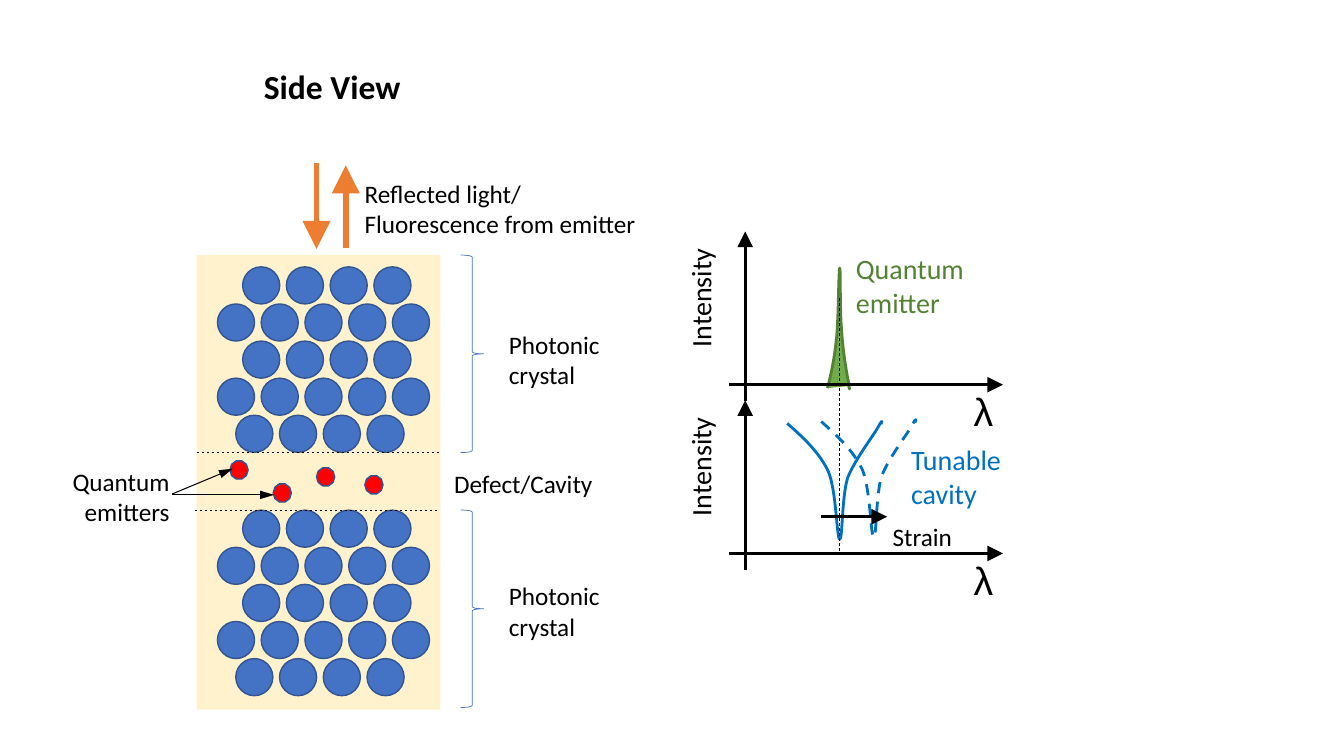
from lxml.etree import SubElement
from pptx import Presentation
from pptx.dml.color import RGBColor as RGB
from pptx.enum.dml import MSO_LINE
from pptx.enum.shapes import MSO_CONNECTOR, MSO_SHAPE as SHAPE
from pptx.enum.text import MSO_AUTO_SIZE as AUTO, PP_ALIGN as AL
from pptx.oxml.ns import qn
from pptx.util import Pt

COLORS = dict(slab="FFF2CC", rod="4472C4", edge="325491", dot="FF0000",
              black="000000", light="ED7D31", cavity="0070C0",
              peak="70AD47", green="548235")
ROD, PITCH = 26.5, 31.25
ROWS = [(173.3, 4), (155.3, 5), (173.3, 4), (155.3, 5), (168.4, 4)]
BLOCKS = [(190.6, 182.2), (364.4, 364.3)]
DOTS = [(164.2, 329.2), (195.1, 345.6), (226.1, 334.1), (260.6, 339.8)]
DIP = [(562.3, 302.4),
       (573.8, 312.5), (585.4, 323.3), (591.8, 337),
       (597.6, 351.4), (597.6, 384.5), (599.8, 385.2),
       (601.9, 385.9), (601.2, 355), (605.5, 341.3),
       (610.6, 328.3), (623.5, 311.8), (627.1, 305.3),
       (630.7, 298.8), (630, 301), (629.3, 303.1)]
PEAK = [(591.1, 277.2),
        (594, 265.7), (596.2, 254.9), (597.6, 240.5),
        (599, 226.1), (599, 192.2), (599.8, 191.5),
        (600.5, 190.1), (599.8, 222.5), (601.2, 236.2),
        (601.9, 249.8), (604.8, 267.1), (606.2, 273.6),
        (607, 280.1), (607, 277.9), (606.2, 275.8)]


def color(name):
    return RGB.from_string(COLORS[name])


def stroke(sp, line, width, dash):
    sp.line.color.rgb = color(line)
    sp.line.width = Pt(width)
    if dash:
        sp.line.dash_style = MSO_LINE.DASH


def style(sp, fill=None, line=None, width=1, dash=False):
    sp.shadow.inherit = False
    if fill:
        sp.fill.solid()
        sp.fill.fore_color.rgb = color(fill)
    else:
        sp.fill.background()
    if line:
        stroke(sp, line, width, dash)
    else:
        sp.line.fill.background()


def shape(s, kind, x, y, w, h, **fmt):
    sp = s.shapes.add_shape(kind, Pt(x), Pt(y), Pt(w), Pt(h))
    style(sp, **fmt)


def line(s, x1, y1, x2, y2, name="black", width=0.5, dash=False, head=None):
    c = s.shapes.add_connector(MSO_CONNECTOR.STRAIGHT, Pt(x1), Pt(y1), Pt(x2), Pt(y2))
    stroke(c, name, width, dash)
    if head:
        SubElement(c.line._get_or_add_ln(), qn("a:tailEnd"),
                   type="triangle", w=head, len="lg")
    SubElement(c._element.spPr, qn("a:effectLst"))


def curve(s, points, dx=0, dy=0, **fmt):
    pts = [(Pt(x + dx), Pt(y + dy)) for x, y in points]
    knots = pts[::3]
    fb = s.shapes.build_freeform(*knots[0])
    fb.add_line_segments(knots[1:], close=False)
    sp = fb.convert_to_shape()
    outline = next(sp._element.iter(qn("a:path")))
    for segment in outline.findall(qn("a:lnTo")):
        outline.remove(segment)
    for i in range(1, len(pts), 3):
        bezier = SubElement(outline, qn("a:cubicBezTo"))
        for x, y in pts[i:i + 3]:
            SubElement(bezier, qn("a:pt"), x=str(x - sp.left), y=str(y - sp.top))
    style(sp, **fmt)


def text(s, words, x, y, w, h, size=18, name="black", font="Calibri",
         bold=False, align=AL.LEFT, vertical=False):
    tf = s.shapes.add_textbox(Pt(x), Pt(y), Pt(w), Pt(h)).text_frame
    tf.word_wrap = False
    tf.auto_size = AUTO.SHAPE_TO_FIT_TEXT
    if vertical:
        tf._txBody.bodyPr.set("vert", "vert270")
    tf.text = words
    for p in tf.paragraphs:
        p.alignment = align
        for r in p.runs:
            r.font.name, r.font.size, r.font.bold = font, Pt(size), bold
            r.font.color.rgb = color(name)


def crystal(s, top):
    for i, (left, count) in enumerate(ROWS):
        for j in range(count):
            shape(s, SHAPE.OVAL, left + j * PITCH, top + i * ROD, ROD, ROD,
                  fill="rod", line="edge")


def side_view(s):
    shape(s, SHAPE.RECTANGLE, 140.4, 182.2, 174.2, 324.7, fill="slab")
    for top, brace_top in BLOCKS:
        crystal(s, top)
        shape(s, SHAPE.RIGHT_BRACE, 329, brace_top, 16.6, 141.1, line="rod", width=0.5)
    line(s, 140.4, 323.3, 314.6, 323.3, dash=True)
    line(s, 139, 364.3, 313.2, 364.3, dash=True)
    text(s, "Defect/Cavity", 317.3, 330.7, 114.5, 29)
    for y in (231.5, 411.3):
        text(s, "Photonic\vcrystal", 356.4, y, 80, 51)
    text(s, "Side View", 181.4, 43.4, 113, 36, size=24, bold=True)
    for x, y in DOTS:
        shape(s, SHAPE.DECAGON, x, y, 13, 13, fill="dot", line="edge")
    line(s, 123.1, 352.8, 166.3, 334.8, width=0.75, head="med")
    line(s, 123.1, 353.5, 195.8, 353.5, width=0.75, head="med")
    text(s, "Quantum\vemitters", 43.2, 329.4, 85, 51, align=AL.RIGHT)
    line(s, 226.1, 116.6, 226.1, 177.8, "light", 4, head="lg")
    line(s, 247, 177.1, 247, 118.1, "light", 4, head="lg")
    text(s, "Reflected light/\nFluorescence from emitter", 253.4, 123.8, 210.2, 51)


def axes(s, y):
    line(s, 520.6, y, 716.4, y, width=2.25, head="lg")
    line(s, 532.3, y + 12, 532.3, y - 109.4, width=2.25, head="lg")


def axis_labels(s, y):
    text(s, "λ", 688.3, y - 1.7, 30.2, 41, size=28, font="Arial")
    text(s, "Intensity", 484.6, y - 98, 38.9, 78.5, size=20, vertical=True)


def spectra(s):
    axes(s, 395.3)
    curve(s, DIP, line="cavity", width=2)
    axis_labels(s, 395.3)
    curve(s, PEAK, fill="peak", line="green", width=2)
    axes(s, 274.8)
    axis_labels(s, 274.8)
    line(s, 599.8, 393.8, 599.8, 212.4, dash=True)
    curve(s, DIP, 24.3, -1.3, line="cavity", width=2, dash=True)
    text(s, "Strain", 630, 369, 57.6, 29, align=AL.CENTER)
    line(s, 586.8, 369.1, 633.6, 369.1, width=2.25, head="lg")
    text(s, "Quantum\vemitter", 604.3, 176.4, 92.2, 55.5, size=20, name="green")
    text(s, "Tunable\vcavity", 643.7, 312.8, 79.2, 55.5, size=20, name="cavity")


def main():
    prs = Presentation()
    prs.slide_width, prs.slide_height = Pt(960), Pt(540)
    s = prs.slides.add_slide(prs.slide_layouts[6])
    side_view(s)
    spectra(s)
    prs.save("out.pptx")


if __name__ == "__main__":
    main()
